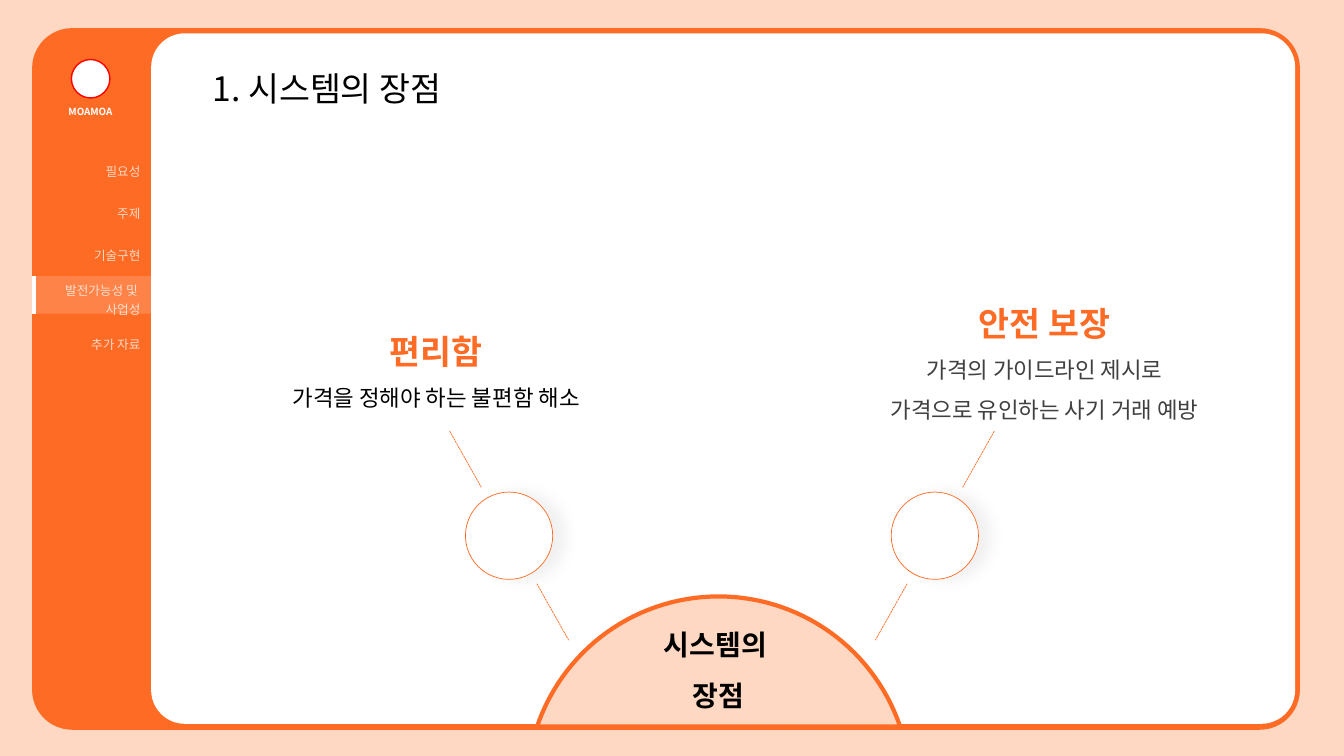
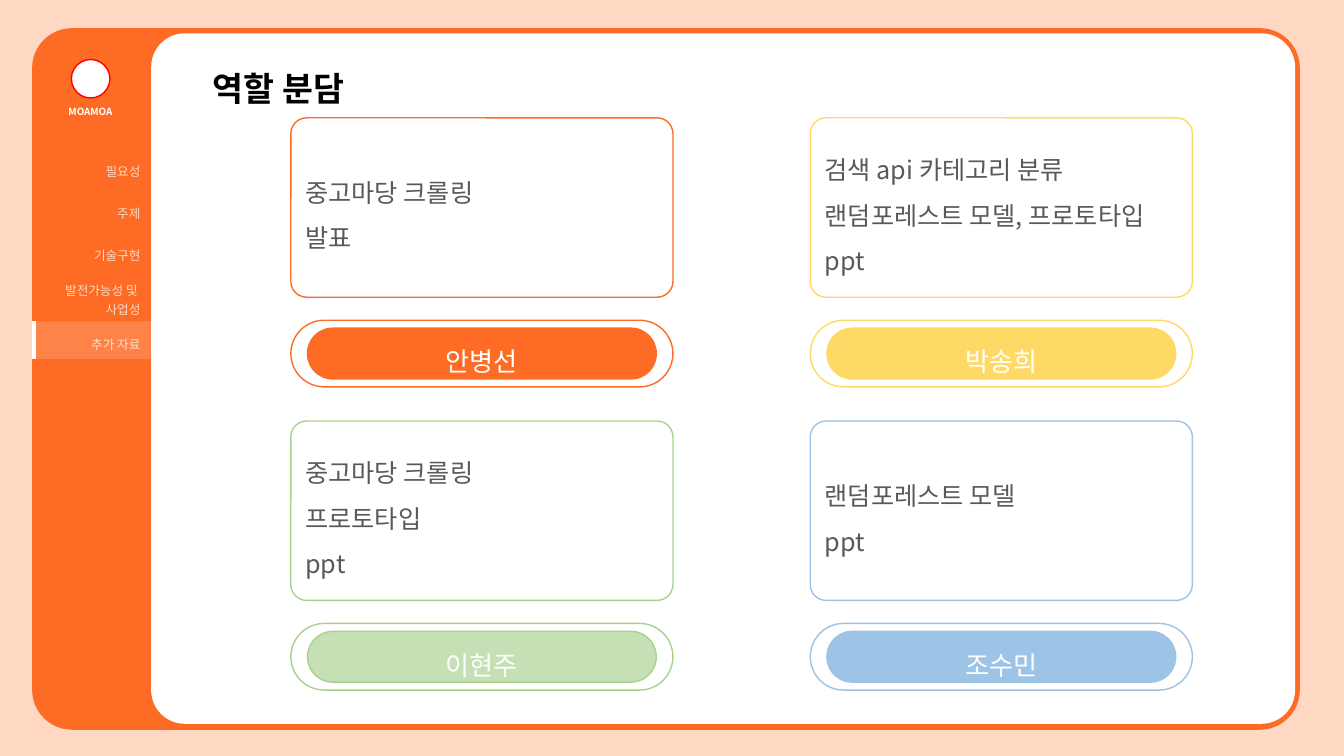
import math
from lxml import etree
from pptx import Presentation
from pptx import util as u
from pptx.dml import color
from pptx.enum import dml, shapes, text
from pptx.oxml import ns

FONT = "Noto Sans CJK KR"
HUES = {
    "peach": "FED8C3",
    "orange": "FE6B25",
    "white": "FFFFFF",
    "black": "000000",
    "red": "FF0000",
    "dark": "404040",
    "gray": "595959",
    "gold": "FFD966",
    "green": "A9D18E",
    "mint": "C5E0B4",
    "blue": "9DC3E6",
}
MENU = ["필요성", "주제", "기술구현", "발전가능성 및 \n사업성", "추가 자료", ""]
PLAIN = "{2D5ABB26-0587-4C30-8999-92F81FD0307C}"
ROUND = shapes.MSO_SHAPE.ROUNDED_RECTANGLE
OVAL = shapes.MSO_SHAPE.OVAL
LEFT, MID, RIGHT = text.PP_ALIGN.LEFT, text.PP_ALIGN.CENTER, text.PP_ALIGN.RIGHT
TOP, HALF = text.MSO_ANCHOR.TOP, text.MSO_ANCHOR.MIDDLE


def put(item, **vals):
    for key, val in vals.items():
        setattr(item, key, val)


def cms(*vals):
    return [u.Cm(val) for val in vals]


def hue(name):
    return color.RGBColor.from_string(HUES[name])


def node(root, tag, **vals):
    return etree.SubElement(root, ns.qn(tag), {k: str(v) for k, v in vals.items()})


class Deck:
    def __init__(self):
        self.prs = Presentation()
        put(self.prs, slide_width=u.Cm(33.87), slide_height=u.Cm(19.05))
        self.paint(self.prs.slide_master.background, "peach")
        self.slide = None

    def paint(self, item, name):
        item.fill.solid()
        item.fill.fore_color.rgb = hue(name)

    def style(self, item, fill, line=None, width=1):
        item.shadow.inherit = False
        self.paint(item, fill)
        if line:
            item.line.color.rgb = hue(line)
            item.line.width = u.Pt(width)
        else:
            item.line.fill.background()

    def say(self, frame, lines, align=MID, space=1.5):
        for num, (words, size, tint, bold) in enumerate(lines):
            para = frame.add_paragraph() if num else frame.paragraphs[0]
            put(para, alignment=align, line_spacing=space)
            run = para.add_run()
            run.text = words
            put(run.font, size=u.Pt(size), bold=bold, name=FONT)
            run.font.color.rgb = hue(tint)
            node(run.font._element, "a:ea", typeface=FONT)

    def shape(self, kind, box, fill, line=None, width=1, bend=None):
        item = self.slide.shapes.add_shape(kind, *cms(*box))
        self.style(item, fill, line, width)
        if bend is not None:
            item.adjustments[0] = bend
        item.text_frame.vertical_anchor = HALF
        return item

    def label(self, box, lines, space=1.5):
        frame = self.slide.shapes.add_textbox(*cms(*box)).text_frame
        put(frame, word_wrap=True, vertical_anchor=TOP)
        self.say(frame, lines, space=space)

    def line(self, *ends):
        item = self.slide.shapes.add_connector(shapes.MSO_CONNECTOR.STRAIGHT, *cms(*ends))
        item.line.color.rgb = hue("orange")
        put(item.line, width=u.Pt(0.5), dash_style=dml.MSO_LINE.SQUARE_DOT)
        node(item._element.spPr, "a:effectLst")

    def ring(self, box):
        item = self.shape(OVAL, box, "white", "orange", 0.5)
        glow = item._element.spPr.find(ns.qn("a:effectLst"))
        shade = node(glow, "a:outerShdw", blurRad=u.Pt(11), dist=u.Pt(9), dir=0,
                     algn="l", rotWithShape=0)
        node(node(shade, "a:srgbClr", val=HUES["black"]), "a:alpha", val=5000)

    def dome(self, mid, base, hub, rad, lines):
        edge = math.asin((hub - base) / rad)
        steps = 60
        dots = []
        for num in range(steps + 1):
            turn = edge + (math.pi - 2 * edge) * num / steps
            dots.append(tuple(cms(mid + rad * math.cos(turn), hub - rad * math.sin(turn))))
        arc = self.slide.shapes.build_freeform(*dots[0])
        arc.add_line_segments(dots[1:], close=True)
        item = arc.convert_to_shape()
        self.style(item, "peach", "orange", 3)
        item.text_frame.vertical_anchor = HALF
        self.say(item.text_frame, lines)

    def table(self, box, rows):
        grid = self.slide.shapes.add_table(rows, 1, *cms(*box)).table
        put(grid, first_row=False, horz_banding=False)
        grid._tbl.tblPr.find(ns.qn("a:tableStyleId")).text = PLAIN
        return grid

    def menu(self, top):
        grid = self.table((0.79, 3.78, 3, 6.36), len(MENU))
        for num, words in enumerate(MENU):
            cell = grid.cell(num, 0)
            cell.vertical_anchor = HALF
            cell.fill.background()
            if words:
                lines = [(part, 9, "peach", False) for part in words.split("\n")]
                self.say(cell.text_frame, lines, RIGHT, 1)
        cell = self.table((0.86, top, 2.95, 0.94), 1).cell(0, 0)
        put(cell, margin_top=0, margin_bottom=0)
        self.paint(cell, "white")
        props = cell._tc.tcPr
        node(props.find(".//" + ns.qn("a:srgbClr")), "a:alpha", val=17000)
        edge = etree.Element(ns.qn("a:lnL"), {"w": str(u.Pt(3))})
        node(node(edge, "a:solidFill"), "a:srgbClr", val=HUES["white"])
        props.insert(0, edge)

    def title(self, words, bold):
        item = self.slide.shapes.title
        left, top, width, height = cms(5.03, 1.02, 15.62, 1.75)
        put(item, left=left, top=top, width=width, height=height)
        side, gap = cms(0.33, 0.18)
        put(item.text_frame, word_wrap=True, auto_size=text.MSO_AUTO_SIZE.NONE,
            vertical_anchor=TOP, margin_left=side, margin_right=side,
            margin_top=gap, margin_bottom=gap)
        self.say(item.text_frame, [(words, 24, "black", bold)], LEFT)
        self.slide.shapes._spTree.append(item._element)

    def page(self, words, bold, mark):
        self.slide = self.prs.slides.add_slide(self.prs.slide_layouts[5])
        self.shape(ROUND, (0.81, 0.71, 31.95, 17.68), "orange", bend=0.057)
        self.shape(ROUND, (3.81, 0.84, 28.83, 17.4), "white", bend=0.049)
        self.menu(mark)
        self.shape(OVAL, (1.8, 1.5, 0.97, 0.97), "white", "red")
        self.label((1.3, 2.54, 1.96, 0.56), [("MOAMOA", 7, "white", True)], 1)
        self.title(words, bold)

    def spoke(self, mid, side):
        self.ring((mid - 1.1, 12.4, 2.2, 2.2))
        self.line(mid + side * 1.5, 10.86, mid + side * 0.7, 12.28)
        self.line(mid - side * 0.7, 14.71, mid - side * 1.5, 16.13)

    def card(self, left, top, jobs, name, line, fill):
        wide = 9.63
        box = self.shape(ROUND, (left, top, wide, 4.52), "white", line, bend=0.088)
        self.say(box.text_frame, [(job, 18, "gray", False) for job in jobs], LEFT)
        base = top + 5.1
        self.shape(ROUND, (left, base, wide, 1.68), "white", line, bend=0.5)
        pill = self.shape(ROUND, (left + 0.42, base + 0.2, wide - 0.84, 1.28),
                          fill, line, bend=0.5)
        self.say(pill.text_frame, [(name, 18.7, "white", False)])


def main():
    deck = Deck()

    deck.page("1. 시스템의 장점", False, 6.96)
    deck.dome(18.11, 18.31, 19.86, 4.83,
              [("시스템의 ", 20, "black", True), ("장점", 20, "black", True)])
    deck.spoke(12.83, -1)
    deck.spoke(23.56, 1)
    deck.label((6.56, 7.7, 8.87, 3.63), [
        ("편리함", 24, "orange", True),
        ("가격을 정해야 하는 불편함 해소", 16, "black", False),
    ])
    deck.label((21.56, 6.99, 9.53, 3.76), [
        ("안전 보장", 24, "orange", True),
        ("가격의 가이드라인 제시로", 16, "dark", False),
        ("가격으로 유인하는 사기 거래 예방", 16, "dark", False),
    ])

    deck.page("역할 분담", True, 8.1)
    team = [
        (["중고마당 크롤링", "발표"], "안병선", "orange", "orange"),
        (["검색 api 카테고리 분류", "랜덤포레스트 모델, 프로토타입", "ppt"],
         "박송희", "gold", "gold"),
        (["중고마당 크롤링", "프로토타입", "ppt"], "이현주", "green", "mint"),
        (["랜덤포레스트 모델", "ppt"], "조수민", "blue", "blue"),
    ]
    for num, part in enumerate(team):
        row, col = divmod(num, 2)
        deck.card(7.33 + 13.09 * col, 2.97 + 7.64 * row, *part)

    deck.prs.save("out.pptx")


if __name__ == "__main__":
    main()
